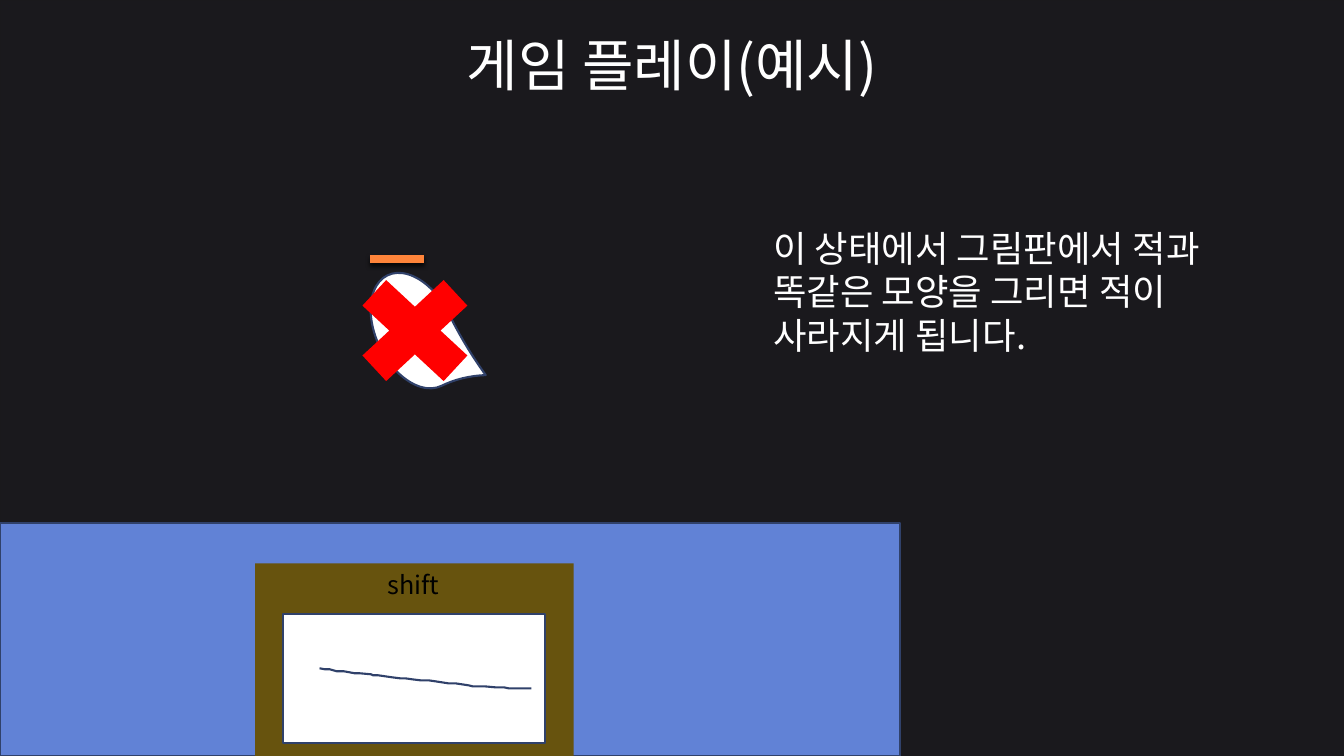
from dataclasses import dataclass

from lxml import etree
from pptx import Presentation
from pptx.dml.color import RGBColor
from pptx.enum.shapes import MSO_CONNECTOR, MSO_SHAPE
from pptx.enum.text import MSO_AUTO_SIZE, PP_ALIGN
from pptx.oxml.ns import qn
from pptx.util import Inches, Pt

RECT = MSO_SHAPE.RECTANGLE
TEAR = MSO_SHAPE.TEAR
MULTIPLY = MSO_SHAPE.MATH_MULTIPLY
STRAIGHT = MSO_CONNECTOR.STRAIGHT
LEFT, CENTER = PP_ALIGN.LEFT, PP_ALIGN.CENTER
FIT_SHAPE = MSO_AUTO_SIZE.SHAPE_TO_FIT_TEXT


@dataclass(frozen=True)
class Theme:
    night: str = "1A191D"
    night_edge: str = "1A191C"
    white: str = "FFFFFF"
    black: str = "000000"
    floor: str = "6182D6"
    outline: str = "30416A"
    board: str = "67530E"
    health: str = "FF843A"
    cross: str = "FF0000"
    font: str = "Noto Sans CJK KR"
    title: int = 40
    body: int = 26
    label: int = 18
    line: float = 1.5
    bar: float = 6


class SlideBuilder:
    def __init__(self, slide, theme):
        self.shapes = slide.shapes
        self.theme = theme

    def paint_line(self, line, color, width):
        line.color.rgb = RGBColor.from_string(color)
        line.width = Pt(width)

    def shape(self, kind, x, y, w, h, fill, line=None, adj=None, rotation=0):
        s = self.shapes.add_shape(kind, Inches(x), Inches(y), Inches(w), Inches(h))
        s.shadow.inherit = False
        s.fill.solid()
        s.fill.fore_color.rgb = RGBColor.from_string(fill)
        if line:
            self.paint_line(s.line, line, self.theme.line)
        else:
            s.line.fill.background()
        if adj is not None:
            s.adjustments[0] = adj
        s.rotation = rotation
        return s

    def text(self, x, y, w, h, text, size, color, align=LEFT):
        s = self.shapes.add_textbox(Inches(x), Inches(y), Inches(w), Inches(h))
        tf = s.text_frame
        tf.word_wrap = True
        tf.auto_size = FIT_SHAPE
        tf.text = text
        p = tf.paragraphs[0]
        p.alignment = align
        r = p.runs[0]
        r.font.size = Pt(size)
        r.font.color.rgb = RGBColor.from_string(color)
        r.font.name = self.theme.font
        ea = etree.SubElement(r.font._element, qn("a:ea"))
        ea.set("typeface", self.theme.font)
        return s

    def shadowed_bar(self, x1, x2, y, color):
        """Thick horizontal line with a soft shadow straight below it."""
        s = self.shapes.add_connector(STRAIGHT, Inches(x1), Inches(y), Inches(x2), Inches(y))
        self.paint_line(s.line, color, self.theme.bar)
        effects = etree.SubElement(s._element.spPr, qn("a:effectLst"))
        shadow = etree.SubElement(effects, qn("a:outerShdw"), blurRad=str(Pt(3)),
                                  dist=str(Pt(2)), dir="5400000", rotWithShape="0")
        clr = etree.SubElement(shadow, qn("a:srgbClr"), val=self.theme.black)
        etree.SubElement(clr, qn("a:alpha"), val="75000")
        return s

    def stroke(self, points, color):
        """Open hand-drawn line through the points."""
        start, *rest = [(Inches(x), Inches(y)) for x, y in points]
        fb = self.shapes.build_freeform(*start)
        fb.add_line_segments(rest, close=False)
        s = fb.convert_to_shape()
        s.shadow.inherit = False
        s.fill.background()
        self.paint_line(s.line, color, self.theme.line)
        return s


PEN_POINTS = [
    (3.17, 6.63), (3.22, 6.64), (3.27, 6.64), (3.34, 6.66), (3.41, 6.66),
    (3.52, 6.68), (3.57, 6.68), (3.68, 6.69), (3.7, 6.7), (3.75, 6.7),
    (3.89, 6.72), (3.97, 6.73), (4.02, 6.73), (4.09, 6.74), (4.17, 6.75),
    (4.25, 6.75), (4.32, 6.76), (4.45, 6.78), (4.52, 6.78), (4.65, 6.8),
    (4.69, 6.81), (4.81, 6.81), (4.92, 6.82), (5, 6.82), (5.05, 6.83),
    (5.27, 6.83),
]


def main():
    prs = Presentation()
    prs.slide_width, prs.slide_height = Inches(13.33), Inches(7.5)
    t = Theme()
    b = SlideBuilder(prs.slides.add_slide(prs.slide_layouts[6]), t)

    b.shape(RECT, 0, 0, 13.33, 7.5, t.night, t.night_edge)
    b.text(0, 0.25, 13.33, 0.76, "게임 플레이(예시)", t.title, t.white, CENTER)

    b.shape(RECT, 0, 5.19, 8.93, 2.31, t.floor, t.outline)
    b.shape(TEAR, 3.5, 2.9, 1.22, 0.76, t.white, t.outline, adj=1.16, rotation=63.9)
    b.shadowed_bar(3.67, 4.21, 2.57, t.health)

    b.text(7.57, 2.19, 5.45, 0.96,
           "이 상태에서 그림판에서 적과 똑같은 모양을 그리면 적이 사라지게 됩니다.",
           t.body, t.white)

    b.shape(RECT, 2.53, 5.59, 3.16, 1.91, t.board)
    b.text(3.2, 5.6, 1.8, 0.4, "shift", t.label, t.black, CENTER)
    b.shape(RECT, 2.81, 6.09, 2.6, 1.28, t.white, t.outline)
    b.stroke(PEN_POINTS, t.outline)
    b.shape(MULTIPLY, 3.34, 2.56, 1.55, 1.44, t.cross, adj=0.24)

    prs.save("out.pptx")


if __name__ == "__main__":
    main()
